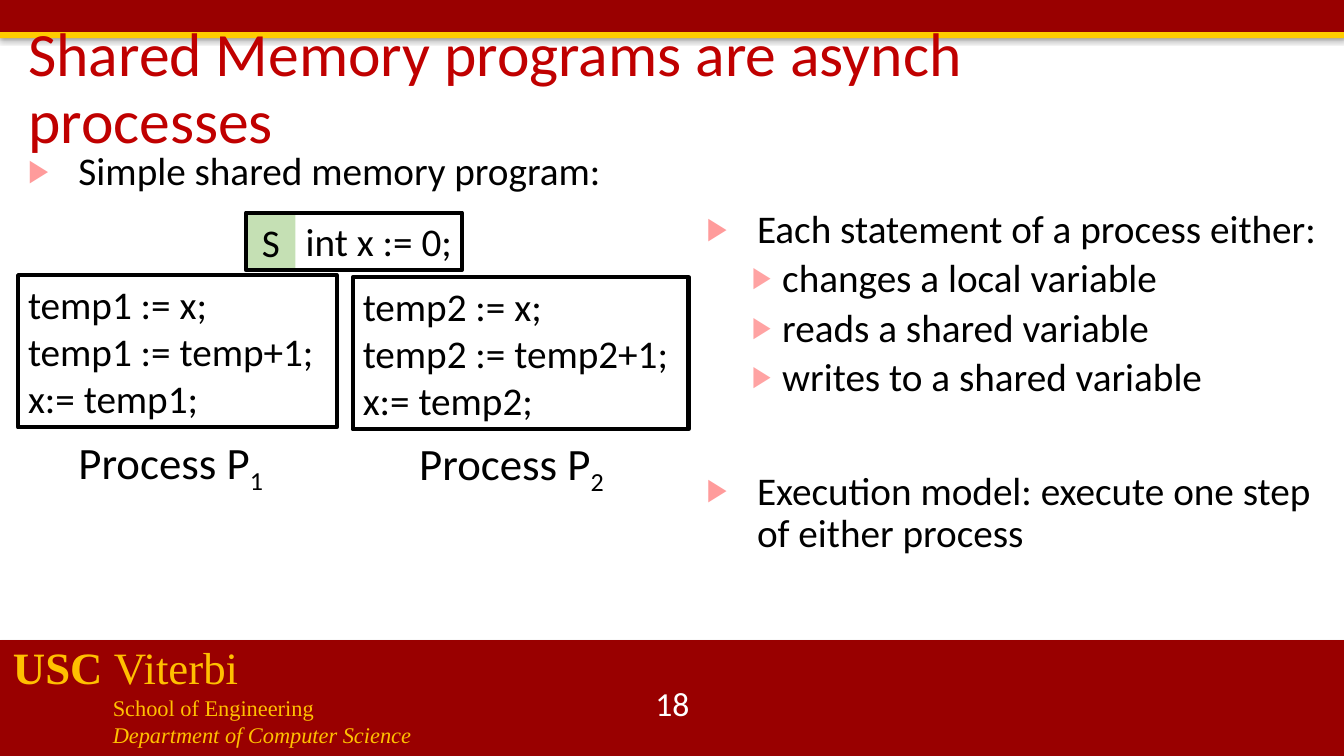
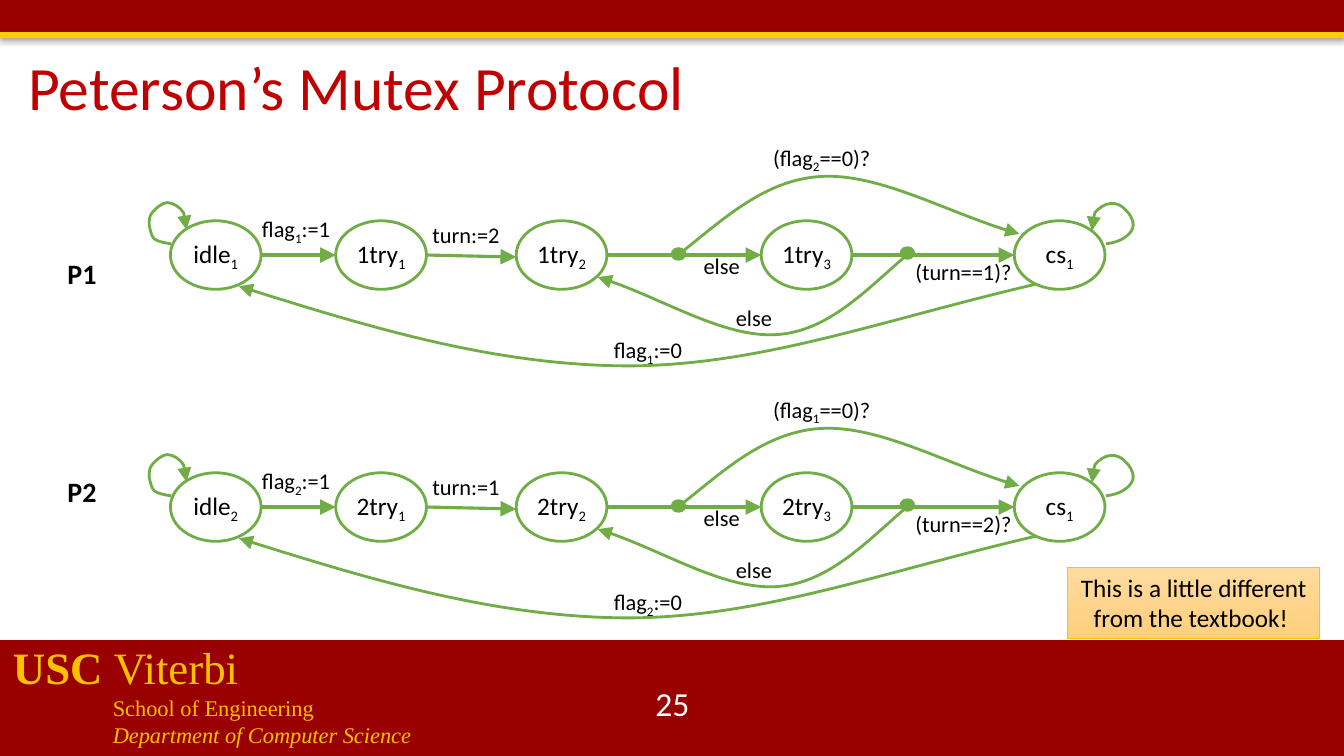
import itertools

import lxml.etree
import pptx
import pptx.dml.color
import pptx.enum.shapes
import pptx.enum.text
import pptx.oxml
import pptx.oxml.ns
import pptx.util

Inches, Pt = pptx.util.Inches, pptx.util.Pt
SHAPE = pptx.enum.shapes.MSO_SHAPE
ALIGN = pptx.enum.text.PP_ALIGN
ANCHOR = pptx.enum.text.MSO_ANCHOR
qn = pptx.oxml.ns.qn

WIDTH, HEIGHT = 13.33, 7.5
CARDINAL, STRIPE, GOLD = "990000", "FFCC00", "FFC000"
TITLE_RED, BLACK, WHITE = "C00000", "000000", "FFFFFF"
GREEN, PALE_GREEN = "70AD47", "C5E0B4"
SANS, SERIF = "Calibri", "Times New Roman"

# Bullet levels: left margin, hanging indent, space before, colour, size in percent
LEVELS = [(0.5, -0.5, 10, "FF9B9B", 80), (0.75, -0.3, 5, "FFA3A3", 75)]

# Mutex diagram, relative to its top left corner
STATE_W, STATE_H, STATE_TOP = 0.9, 0.68, 0.81
STATE_LEFTS = [0.21, 1.85, 3.64, 6.07, 8.58]
ARROW_DROPS = [0, 0.02, 0, 0]
BRANCH_DOTS = [(5.18, 1.08), (7.45, 1.07)]
# Cubic curves: a start point, then two control points and an end point per piece
SKIP_TO_CS = [(5.27, 1.13), (5.7, 0.79), (6.11, 0.4), (6.67, 0.37),
              (7.23, 0.34), (7.98, 0.76), (8.63, 0.94)]
RETRY = [(7.48, 1.18), (7.09, 1.52), (6.72, 1.91), (6.22, 1.94),
         (5.71, 1.97), (5.04, 1.55), (4.45, 1.37)]
RESET = [(8.79, 1.44), (7.25, 1.8), (6.09, 2.24), (4.77, 2.25),
         (3.45, 2.25), (2.13, 1.85), (0.89, 1.46)]
CS_LOOP = [(9.49, 1.04), (9.56, 1.03), (9.63, 1.01), (9.67, 0.98),
           (9.72, 0.95), (9.76, 0.9), (9.76, 0.85),
           (9.76, 0.8), (9.72, 0.73), (9.68, 0.7),
           (9.65, 0.66), (9.59, 0.63), (9.53, 0.64),
           (9.48, 0.64), (9.41, 0.69), (9.38, 0.73),
           (9.37, 0.77), (9.35, 0.82), (9.35, 0.91)]
IDLE_LOOP = [(0.22, 1.04), (0.16, 1.03), (0.09, 1.02), (0.05, 0.99),
             (0.02, 0.96), (0.01, 0.9), (0, 0.85),
             (0, 0.81), (0, 0.76), (0.03, 0.73),
             (0.06, 0.69), (0.13, 0.63), (0.18, 0.63),
             (0.24, 0.63), (0.31, 0.68), (0.34, 0.73),
             (0.35, 0.77), (0.37, 0.82), (0.37, 0.9)]


def rgb(value):
    return pptx.dml.color.RGBColor.from_string(value)


def sub(parent, tag, **attributes):
    return lxml.etree.SubElement(parent, qn(tag), attributes)


def box(x, y, w, h):
    return [Inches(v) for v in (x, y, w, h)]


def style_font(font, size, color=BLACK, name=SANS, bold=None):
    font.size, font.name, font.bold = Pt(size), name, bold
    font.color.rgb = rgb(color)


def add_pieces(p, pieces):
    """Add text whose every second piece is a subscript."""
    for i, piece in enumerate([pieces] if isinstance(pieces, str) else pieces):
        r = p.add_run()
        r.text = piece
        if i % 2:
            r._r.get_or_add_rPr().set("baseline", "-25000")


def write(sp, lines, size, align=ALIGN.LEFT, anchor=ANCHOR.TOP, wrap=True, **font):
    tf = sp.text_frame
    tf.word_wrap, tf.vertical_anchor = wrap, anchor
    for i, line in enumerate(lines):
        p = tf.add_paragraph() if i else tf.paragraphs[0]
        p.alignment = align
        style_font(p.font, size, **font)
        add_pieces(p, line)
    return tf


def add_text(slide, place, lines, size, **options):
    sp = slide.shapes.add_textbox(*box(*place))
    write(sp, lines, size, **options)
    return sp


def add_shape(slide, kind, place, fill=None, line=None, width=1):
    sp = slide.shapes.add_shape(kind, *box(*place))
    sp.shadow.inherit = False
    if fill:
        sp.fill.solid()
        sp.fill.fore_color.rgb = rgb(fill)
    else:
        sp.fill.background()
    if line:
        sp.line.color.rgb = rgb(line)
        sp.line.width = Pt(width)
    else:
        sp.line.fill.background()
    return sp


def add_band(slide, y, h, color):
    """Draw a full-width bar with a soft shadow below it."""
    sp = add_shape(slide, SHAPE.RECTANGLE, (0, y, WIDTH, h), color)
    effects = sp.element.spPr.find(qn("a:effectLst"))
    shadow = sub(effects, "a:outerShdw", blurRad=str(Pt(3.1)), dist=str(Pt(1.8)),
                 dir="5400000", algn="t", rotWithShape="0")
    sub(sub(shadow, "a:srgbClr", val=BLACK), "a:alpha", val="35000")


def add_footer(slide, y, number):
    add_band(slide, y, HEIGHT - y, CARDINAL)
    sp = slide.shapes.add_textbox(*box(0.03, y - 0.05, 6.25, 1.18))
    tf = sp.text_frame
    tf.word_wrap = True
    rows = [("USC ", "Viterbi"), ("School of Engineering",),
            ("Department of Computer Science",)]
    for i, row in enumerate(rows):
        p = tf.add_paragraph() if i else tf.paragraphs[0]
        if i:
            p._p.get_or_add_pPr().set("marL", str(Inches(0.99)))
        style_font(p.font, 16 if i else 32, GOLD, SERIF)
        p.font.italic = i == 2
        for text in row:
            r = p.add_run()
            r.text = text
    tf.paragraphs[0].runs[0].font.bold = True
    add_text(slide, (5.17, y + 0.43, 3, 0.4), [number], 24, align=ALIGN.CENTER,
             anchor=ANCHOR.MIDDLE, color=WHITE)


def add_titled_slide(prs, title, number):
    slide = prs.slides.add_slide(prs.slide_layouts[5])
    add_footer(slide, 6.35, number)
    add_band(slide, 0, 0.33, CARDINAL)
    add_band(slide, 0.32, 0.06, STRIPE)
    sp = slide.shapes.title
    sp.left, sp.top, sp.width, sp.height = box(0.18, 0.47, 11.94, 0.85)
    tf = write(sp, [title], 44, anchor=ANCHOR.MIDDLE, color=TITLE_RED)
    tf.auto_size = pptx.enum.text.MSO_AUTO_SIZE.NONE
    tf.paragraphs[0].line_spacing = 0.9
    slide.shapes.element.append(sp.element)
    return slide


def add_bullets(slide, place, items):
    """Write (level, text, extra space before) items as a bulleted list."""
    sp = slide.shapes.add_textbox(*box(*place))
    tf = sp.text_frame
    tf.word_wrap = True
    for i, (level, text, extra) in enumerate(items):
        p = tf.add_paragraph() if i else tf.paragraphs[0]
        margin, indent, before, color, percent = LEVELS[level]
        p.level = level
        pPr = p._p.get_or_add_pPr()
        pPr.set("marL", str(Inches(margin)))
        pPr.set("indent", str(Inches(indent)))
        sub(sub(pPr, "a:buClr"), "a:srgbClr", val=color)
        sub(pPr, "a:buSzPct", val=str(percent * 1000))
        sub(pPr, "a:buFont", typeface="Arial")
        sub(pPr, "a:buChar", char="▶")
        p.line_spacing = 0.9
        p.space_before = Pt(before + extra if i else 0)
        style_font(p.font, 28)
        add_pieces(p, text)


def add_process(slide, place, code, number, name_at):
    """Draw a framed process body and its name."""
    sp = add_shape(slide, SHAPE.RECTANGLE, place, line=BLACK, width=3)
    write(sp, code, 28)
    add_text(slide, (*name_at, 2.07, 0.64), [("Process P", number)], 32, wrap=False)


def add_shared_variable(slide, x, y, w, h):
    tag = add_shape(slide, SHAPE.RECTANGLE, (x, y, 0.49, h), PALE_GREEN)
    write(tag, ["S"], 28, align=ALIGN.CENTER, anchor=ANCHOR.MIDDLE)
    frame = add_shape(slide, SHAPE.RECTANGLE, (x, y, w, h), line=BLACK, width=3)
    write(frame, ["int x := 0;"], 28, align=ALIGN.RIGHT)


def style_arrow(sp, width=2.0):
    sp.line.color.rgb = rgb(GREEN)
    sp.line.width = Pt(width)
    sub(sp.line._get_or_add_ln(), "a:tailEnd", type="triangle", w="lg", len="lg")


def add_arrow(slide, x1, y1, x2, y2):
    cxn = slide.shapes.add_connector(pptx.enum.shapes.MSO_CONNECTOR.STRAIGHT,
                                     *box(x1, y1, x2, y2))
    style_arrow(cxn, 2.25)
    sub(cxn.element.spPr, "a:effectLst")


def add_curve(slide, x, y, knots):
    """Draw a freeform and turn each three of its segments into one cubic piece."""
    points = [(Inches(x + px), Inches(y + py)) for px, py in knots]
    builder = slide.shapes.build_freeform(*points[0])
    builder.add_line_segments(points[1:], close=False)
    sp = builder.convert_to_shape()
    segments = list(sp.element.iter(qn("a:lnTo")))
    for i in range(0, len(segments), 3):
        cubic = lxml.etree.Element(qn("a:cubicBezTo"))
        segments[i].addprevious(cubic)
        for segment in segments[i:i + 3]:
            cubic.append(segment[0])
            segment.getparent().remove(segment)
    sp.shadow.inherit = False
    sp.fill.background()
    style_arrow(sp)


def add_mutex_process(slide, x, y, own, other):
    """Draw the state machine of one process; own and other are process numbers."""
    middle = y + STATE_TOP + STATE_H / 2
    for (left, right), drop in zip(itertools.pairwise(STATE_LEFTS), ARROW_DROPS):
        add_arrow(slide, x + left + STATE_W, middle, x + right, middle + drop)
    for knots in (SKIP_TO_CS, RETRY, RESET, CS_LOOP, IDLE_LOOP):
        add_curve(slide, x, y, knots)
    for dx, dy in BRANCH_DOTS:
        add_shape(slide, SHAPE.OVAL, (x + dx, y + dy, 0.14, 0.12), GREEN, GREEN)

    attempt = own + "try"
    states = [("idle", own), (attempt, "1"), (attempt, "2"), (attempt, "3"), ("cs", "1")]
    for left, name in zip(STATE_LEFTS, states):
        sp = add_shape(slide, SHAPE.OVAL, (x + left, y + STATE_TOP, STATE_W, STATE_H),
                       WHITE, GREEN, 2)
        tf = write(sp, [name], 18, align=ALIGN.CENTER, anchor=ANCHOR.MIDDLE)
        tf.margin_left = tf.margin_right = tf.margin_top = tf.margin_bottom = 0

    labels = [(1.02, 0.71, 0.89, ("flag", own, ":=1")),
              (2.71, 0.76, 0.88, "turn:=" + other),
              (6.09, 0, 1.19, ("(flag", other, "==0)?")),
              (5.4, 1.07, 0.56, "else"),
              (5.72, 1.59, 0.56, "else"),
              (7.5, 1.13, 1.17, f"(turn=={own})?"),
              (4.51, 1.91, 0.89, ("flag", own, ":=0"))]
    for dx, dy, w, text in labels:
        add_text(slide, (x + dx, y + dy, w, 0.37), [text], 16, wrap=False)


def add_note(slide, place, text):
    sp = add_shape(slide, SHAPE.RECTANGLE, place, line=GOLD, width=0.5)
    sp.fill.gradient()
    sp.fill.gradient_angle = 270
    for stop, color in zip(sp.fill.gradient_stops, ("FFDB9E", "FFD07C")):
        stop.color.rgb = rgb(color)
    write(sp, [text], 18, align=ALIGN.CENTER)


def build_shared_memory(prs):
    slide = add_titled_slide(prs, "Shared Memory programs are asynch processes", "18")
    add_bullets(slide, (0.18, 1.46, 12.79, 0.66), [(0, "Simple shared memory program:", 0)])
    add_process(slide, (0.18, 2.73, 3.16, 1.51),
                ["temp1 := x;", "temp1 := temp+1;", "x:= temp1;"], "1", (0.68, 4.26))
    add_process(slide, (3.5, 2.75, 3.33, 1.51),
                ["temp2 := x;", "temp2 := temp2+1;", "x:= temp2;"], "2", (4.06, 4.27))
    add_shared_variable(slide, 2.44, 2.11, 2.14, 0.57)
    add_bullets(slide, (6.91, 2.03, 6.32, 3.96), [
        (0, "Each statement of a process either:", 0),
        (1, "changes a local variable", 0),
        (1, "reads a shared variable", 0),
        (1, "writes to a shared variable", 0),
        (0, "Execution model: execute one step of either process", 41)])


def build_mutex(prs):
    slide = add_titled_slide(prs, "Peterson’s Mutex Protocol", "25")
    for own, other, top, name_top in (("1", "2", 1.38, 2.5), ("2", "1", 3.88, 4.66)):
        add_text(slide, (0.57, name_top, 0.49, 0.44), ["P" + own], 20, wrap=False, bold=True)
        add_mutex_process(slide, 1.48, top, own, other)
    add_note(slide, (10.59, 5.63, 2.5, 0.7), "This is a little different from the textbook! ")


def main():
    prs = pptx.Presentation()
    prs.slide_width, prs.slide_height = Inches(WIDTH), Inches(HEIGHT)
    build_shared_memory(prs)
    build_mutex(prs)
    prs.save("out.pptx")


if __name__ == "__main__":
    main()
